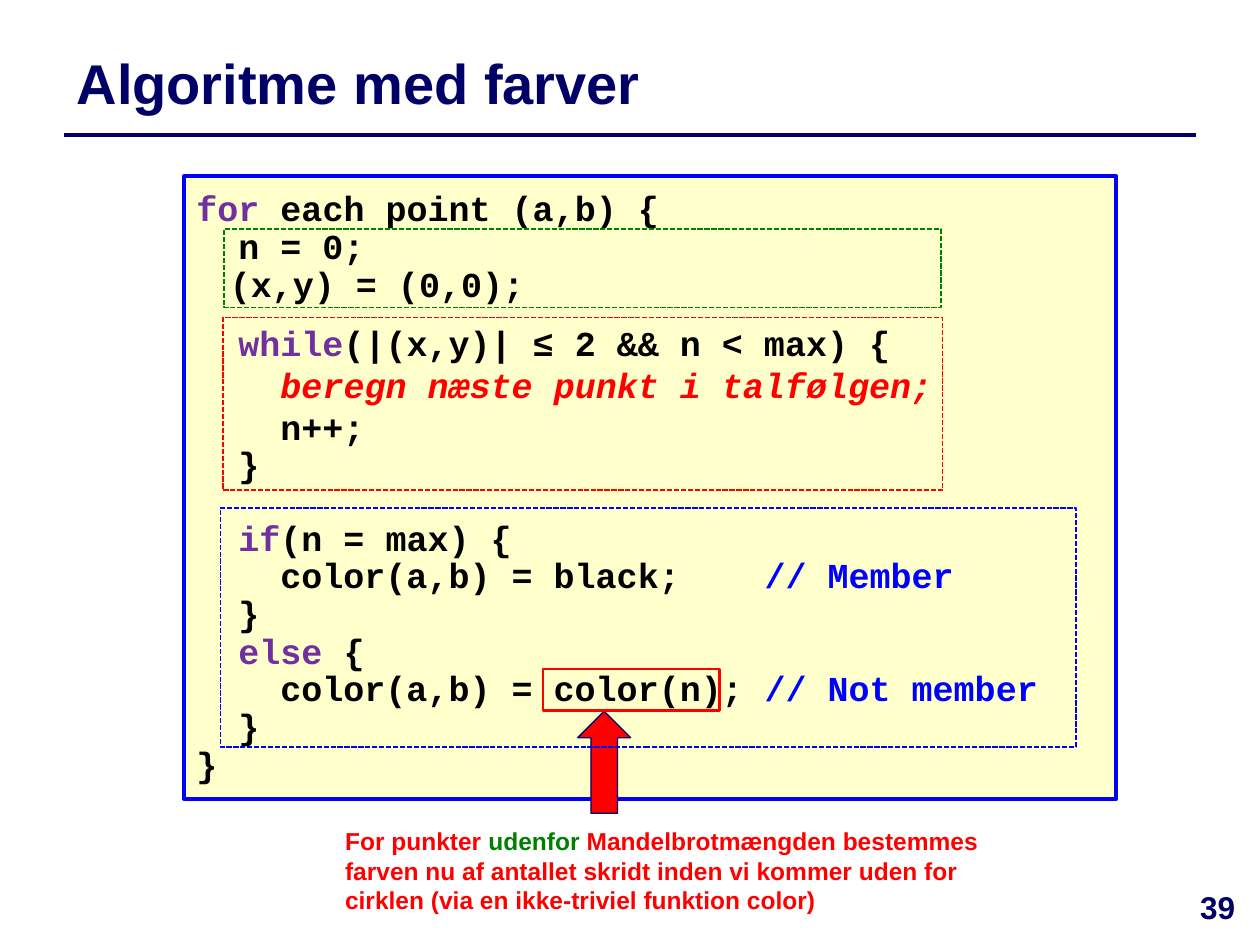
from lxml.etree import SubElement
from pptx import Presentation
from pptx.dml.color import RGBColor
from pptx.enum.dml import MSO_LINE
from pptx.enum.shapes import MSO_CONNECTOR, MSO_SHAPE
from pptx.enum.text import MSO_ANCHOR, MSO_AUTO_SIZE, PP_ALIGN
from pptx.oxml.ns import qn
from pptx.util import Pt

COLORS = {
    "navy": "000066", "blue": "0000FF", "red": "FF0000", "green": "008000",
    "purple": "7030A0", "black": "000000", "cream": "FFFFCC",
}
CODE = [
    (0.9, 0, [("for ", "purple"), ("each point (a,b) {", "black")]),
    (0.9, 0, [("  n = 0;", "black")]),
    (0.9, 0, [("  ", "black", {"size": Pt(16)}), ("(x,y) = (0,0);", "black")]),
    (1.4, 0, [("  ", "black"), ("while", "purple"), ("(|(x,y)| ≤ 2 && n < max) {", "black")]),
    (1.0, 0, [("    ", "black"), ("beregn næste punkt i talfølgen;", "red", {"italic": True})]),
    (1.0, 0, [("    n++;", "black")]),
    (0.9, 0, [("  }", "black")]),
    (1.4, 8, [("  ", "black"), ("if", "purple"), ("(n = max) {", "black")]),
    (0.9, 0, [("    color(a,b) = black;    ", "black"), ("// Member", "blue")]),
    (0.9, 0, [("  }", "black")]),
    (0.9, 0, [("  ", "black"), ("else ", "purple"), ("{", "black")]),
    (0.9, 0, [("    color(a,b) = color(n); ", "black"), ("// Not member", "blue")]),
    (0.9, 0, [("  }", "black")]),
    (0.9, 0, [("}", "black")]),
]
CAPTION = [
    ("For punkter ", "red"),
    ("udenfor ", "green"),
    ("Mandelbrotmængden bestemmes farven nu af antallet skridt inden vi kommer "
     "uden for cirklen (via en ikke-triviel funktion color)", "red"),
]


def apply(target, values):
    for name, value in values.items():
        setattr(target, name, value)


def rgb(name):
    return RGBColor.from_string(COLORS[name])


class Deck:
    sans, mono = "Arial", "Courier New"

    def __init__(self, width, height):
        self.prs = Presentation()
        apply(self.prs, {"slide_width": Pt(width), "slide_height": Pt(height)})
        self.s = self.prs.slides.add_slide(self.prs.slide_layouts[6])

    def line(self, x1, y1, x2, y2, color, width):
        c = self.s.shapes.add_connector(
            MSO_CONNECTOR.STRAIGHT, Pt(x1), Pt(y1), Pt(x2), Pt(y2))
        c.line.color.rgb = rgb(color)
        c.line.width = Pt(width)
        SubElement(c._element.spPr, qn("a:effectLst"))

    def shape(self, box, color, width, fill=None, dash=None, kind=MSO_SHAPE.RECTANGLE):
        sp = self.s.shapes.add_shape(kind, *map(Pt, box))
        sp.shadow.inherit = False
        if fill:
            sp.fill.solid()
            sp.fill.fore_color.rgb = rgb(fill)
        else:
            sp.fill.background()
        sp.line.color.rgb = rgb(color)
        apply(sp.line, {"width": Pt(width), "dash_style": dash})
        return sp

    def paragraphs(self, sp, items, font, size, align=PP_ALIGN.LEFT, **frame):
        tf = sp.text_frame
        apply(tf, {"word_wrap": True, "vertical_anchor": MSO_ANCHOR.TOP,
                   "auto_size": MSO_AUTO_SIZE.NONE, **frame})
        for i, (spacing, before, runs) in enumerate(items):
            p = tf.add_paragraph() if i else tf.paragraphs[0]
            apply(p, {"alignment": align, "line_spacing": spacing})
            if before:
                p.space_before = Pt(before)
            for text, color, *extra in runs:
                r = p.add_run()
                r.text = text
                apply(r.font, {"name": font, "size": Pt(size), "bold": True})
                for values in extra:
                    apply(r.font, values)
                r.font.color.rgb = rgb(color)

    def text(self, box, runs, size, **style):
        sp = self.s.shapes.add_textbox(*map(Pt, box))
        self.paragraphs(sp, [(1.0, 0, runs)], self.sans, size, **style)


def main():
    deck = Deck(720, 540)
    deck.line(36.72, 77.04, 683.28, 77.04, "navy", 2)
    deck.text((36.72, 20.16, 646.56, 54), [("Algoritme med farver", "navy")], 32,
              vertical_anchor=MSO_ANCHOR.MIDDLE)
    code = deck.shape((105.12, 100.8, 532.8, 355.68), "blue", 2.25, "cream")
    deck.paragraphs(code, CODE, deck.mono, 20, margin_top=Pt(8.64))
    dash = MSO_LINE.SQUARE_DOT
    deck.shape((127.44, 181.44, 411.12, 98.64), "red", 1, dash=dash)
    deck.shape((330.12, 406.44, 30.24, 58.32), "navy", 0.75, "red", kind=MSO_SHAPE.UP_ARROW)
    deck.text((671.76, 504, 48.24, 36), [("39", "navy")], 18, align=PP_ALIGN.CENTER)
    deck.text((190.08, 468.72, 385.2, 58.32), CAPTION, 14)
    deck.shape((126, 290.16, 488.88, 136.8), "blue", 1, dash=dash)
    deck.shape((128.16, 131.04, 409.68, 44.64), "green", 1, dash=dash)
    deck.shape((310.32, 382.32, 100.8, 23.76), "red", 1.5)
    deck.prs.save("out.pptx")


if __name__ == "__main__":
    main()
